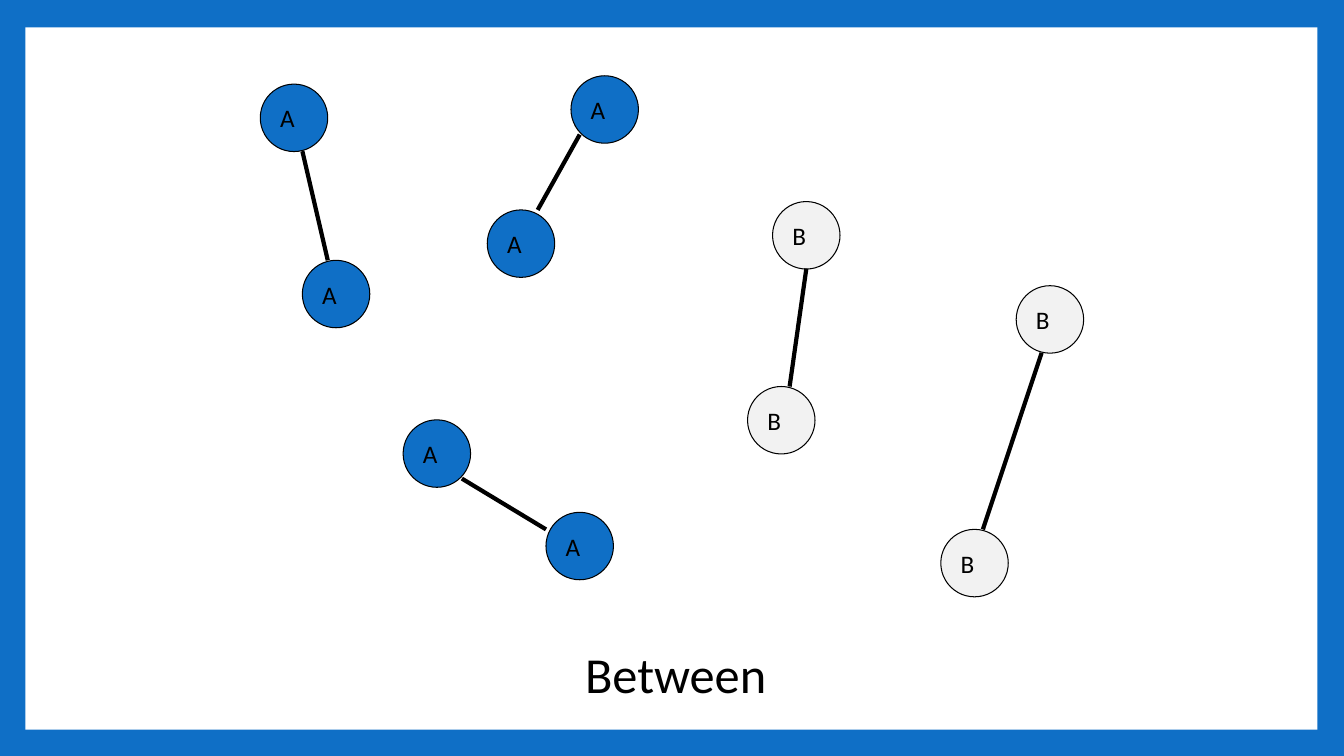
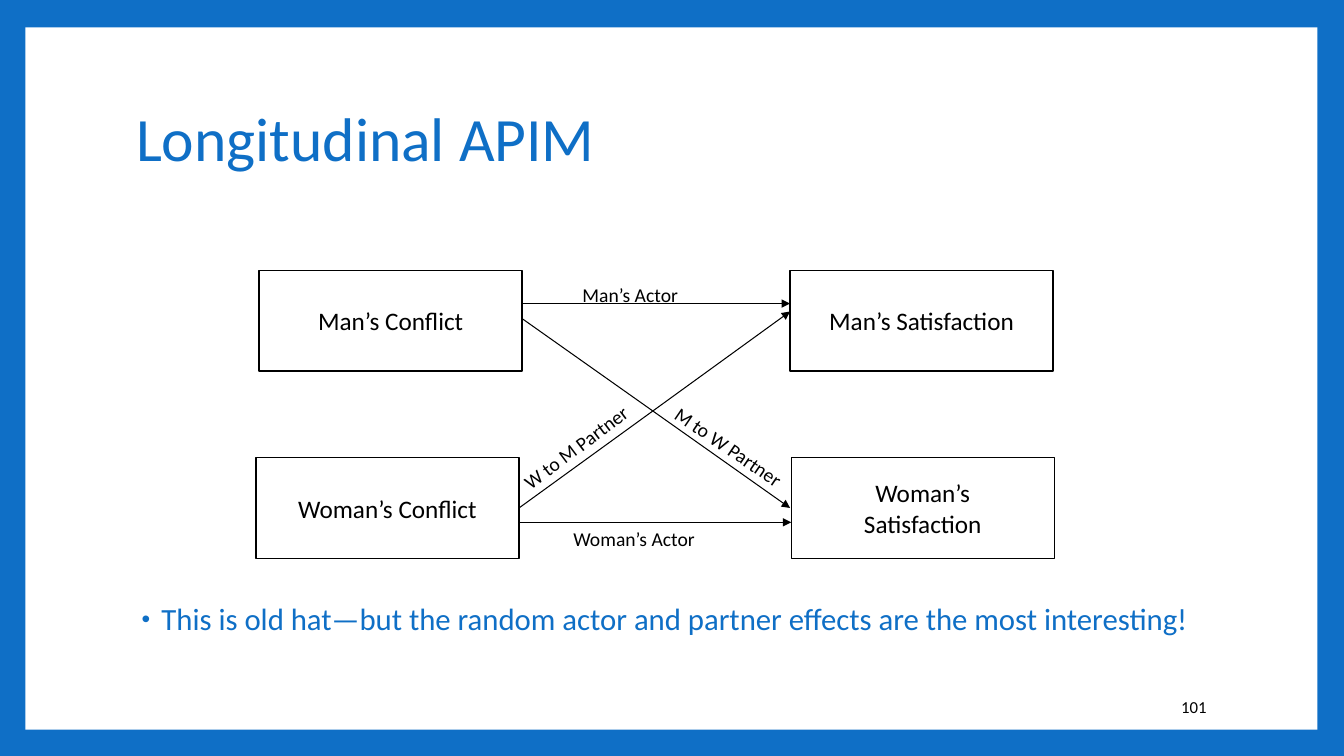
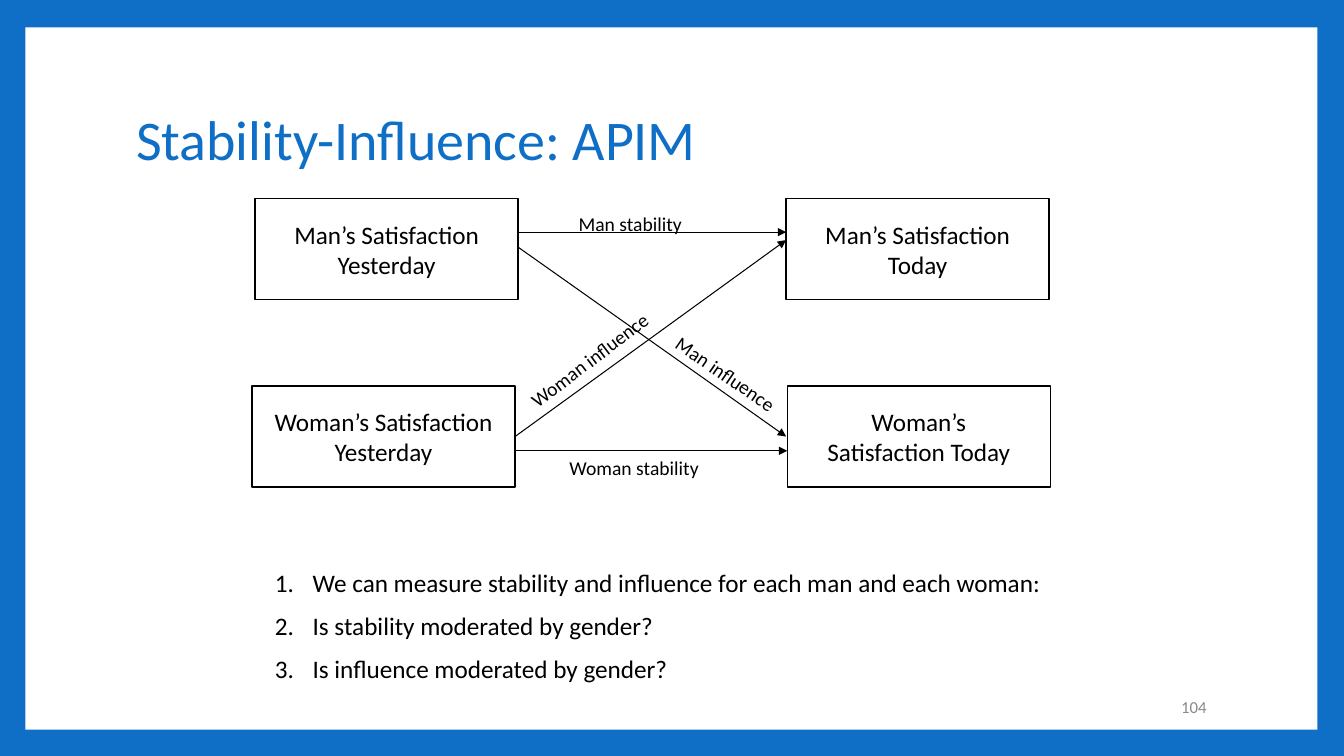
from lxml import etree
from pptx import Presentation
from pptx.dml.color import RGBColor
from pptx.enum.shapes import MSO_CONNECTOR, MSO_SHAPE
from pptx.enum.text import MSO_ANCHOR, PP_ALIGN
from pptx.oxml.ns import qn
from pptx.util import Cm, Pt

BLUE = RGBColor(0x0F, 0x6F, 0xC6)
WHITE = RGBColor(0xFF, 0xFF, 0xFF)
PALE = RGBColor(0xF2, 0xF2, 0xF2)
GREY = RGBColor(0x89, 0x89, 0x89)
BLACK = RGBColor(0, 0, 0)
FONT = "Calibri"
LEFT, MID, RIGHT = PP_ALIGN.LEFT, PP_ALIGN.CENTER, PP_ALIGN.RIGHT
TOP, CENTER = MSO_ANCHOR.TOP, MSO_ANCHOR.MIDDLE
RECT, OVAL = MSO_SHAPE.RECTANGLE, MSO_SHAPE.OVAL
LINE = MSO_CONNECTOR.STRAIGHT

# Content; all lengths in cm
DISC = 1.7
FILLS = {"A": BLUE, "B": PALE}
PAIRS = [  # letter, corners of the two discs, ends of the link
    ("A", [(6.56, 2.12), (7.62, 6.56)], [(7.62, 3.81), (8.26, 6.56)]),
    ("A", [(14.39, 1.91), (12.28, 5.29)], [(14.61, 3.39), (13.55, 5.29)]),
    ("A", [(10.16, 10.58), (13.76, 12.91)], [(11.64, 12.06), (13.76, 13.34)]),
    ("B", [(19.47, 5.08), (18.84, 9.74)], [(20.32, 6.77), (19.9, 9.74)]),
    ("B", [(25.61, 7.2), (23.71, 13.34)], [(26.25, 8.89), (24.77, 13.34)]),
]

BOX = (6.63, 2.54)
SPOTS = [  # corner and side inset of each box
    (6.53, 6.81, 0.36), (6.45, 11.53, 0.36),
    (19.91, 6.81, 0.65), (19.94, 11.53, 0.65),
]
ARROWS = [
    ((13.16, 7.65), (19.91, 7.65)),
    ((13.16, 8.03), (19.91, 12.8)),
    ((13.08, 12.8), (19.91, 7.85)),
    ((13.08, 13.16), (19.94, 13.16)),
]
LABELS = [  # left, top, height, turn
    (14.43, 7.01, 0.84, 0), (14.2, 13.16, 0.84, 0),
    (12.8, 10.26, 1.75, 323), (16.41, 11.3, 0.84, 34.3),
]

ACTOR = {
    "title": "Longitudinal APIM", "size": 44,
    "page": "101", "tint": BLACK,
    "shift": (0, 0),
    "boxes": ["Man’s Conflict", "Woman’s Conflict",
              "Man’s Satisfaction", "Woman’s Satisfaction"],
    "labels": ["Man’s Actor", "Woman’s Actor",
               "W to M Partner", "M to W Partner"],
    "nudges": [(0, 0)] * 4,
}
STABLE = {
    "title": "Stability-Influence: APIM", "size": 40,
    "page": "104", "tint": GREY,
    "shift": (-0.1, -1.8),
    "boxes": ["Man’s Satisfaction Yesterday", "Woman’s Satisfaction Yesterday",
              "Man’s Satisfaction Today", "Woman’s Satisfaction Today"],
    "labels": ["Man stability", "Woman stability",
               "Woman influence", "Man influence"],
    "nudges": [(0, 0), (0, 0), (0.28, -0.28), (0.12, 0.03)],
}
REMARK = ("This is old hat—but the random actor and partner effects "
          "are the most interesting!")
POINTS = [
    "We can measure stability and influence for each man and each woman:",
    "Is stability moderated by gender?",
    "Is influence moderated by gender?",
]


def write(shape, text, size, color=BLACK, align=LEFT, anchor=TOP, wrap=True):
    frame = shape.text_frame
    frame.word_wrap = wrap
    frame.vertical_anchor = anchor
    frame.text = text
    for para in frame.paragraphs:
        para.alignment = align
        for run in para.runs:
            run.font.name = FONT
            run.font.size = Pt(size)
            run.font.color.rgb = color
    return frame


def add_text(slide, area, text, size, **style):
    box = slide.shapes.add_textbox(*map(Cm, area))
    write(box, text, size, **style)
    return box


def add_form(slide, kind, area, fill=None, width=None):
    form = slide.shapes.add_shape(kind, *map(Cm, area))
    form.shadow.inherit = False
    if fill is None:
        form.fill.background()
    else:
        form.fill.solid()
        form.fill.fore_color.rgb = fill
    if width is None:
        form.line.fill.background()
    else:
        form.line.color.rgb = BLACK
        form.line.width = Pt(width)
    return form


def add_line(slide, start, end, width, arrow=False):
    link = slide.shapes.add_connector(LINE, *map(Cm, (*start, *end)))
    link.line.color.rgb = BLACK
    link.line.width = Pt(width)
    if arrow:
        ln = link.line._get_or_add_ln()
        etree.SubElement(ln, qn("a:tailEnd"), type="triangle")
    etree.SubElement(link._element.spPr, qn("a:effectLst"))


def add_mark(para, indent, *marks):
    props = para._p.get_or_add_pPr()
    props.set("marL", str(Cm(indent[0])))
    props.set("indent", str(Cm(indent[1])))
    for tag, attrs in marks:
        etree.SubElement(props, qn(tag), **attrs)


def add_page(deck):
    slide = deck.slides.add_slide(deck.slide_layouts[6])
    add_form(slide, RECT, (0.64, 0.69, 32.56, 17.7), WHITE)
    return slide


def add_model(deck, model):
    slide = add_page(deck)
    title = add_text(slide, (3.18, 1.7, 27.43, 3.76), model["title"],
                     model["size"], color=BLUE, anchor=CENTER)
    title.text_frame.paragraphs[0].line_spacing = 0.9
    add_text(slide, (25.91, 17.3, 4.75, 1.02), model["page"], 12,
             color=model["tint"], align=RIGHT, anchor=CENTER)

    dx, dy = model["shift"]
    for (x, y, inset), text in zip(SPOTS, model["boxes"]):
        box = add_form(slide, RECT, (x + dx, y + dy, *BOX), width=1)
        frame = write(box, text, 18, align=MID, anchor=CENTER)
        frame.margin_left = frame.margin_right = Cm(inset)
    for ends in ARROWS:
        start, end = [(x + dx, y + dy) for x, y in ends]
        add_line(slide, start, end, 0.75, arrow=True)
    for spot, text, nudge in zip(LABELS, model["labels"], model["nudges"]):
        x, y, high, turn = spot
        area = (x + dx + nudge[0], y + dy + nudge[1], 5.28, high)
        add_text(slide, area, text, 14).rotation = turn
    return slide


def main():
    deck = Presentation()
    deck.slide_width, deck.slide_height = Cm(33.87), Cm(19.05)
    back = deck.slide_master.background.fill
    back.solid()
    back.fore_color.rgb = BLUE

    # Linked pairs
    slide = add_page(deck)
    for letter, discs, ends in PAIRS:
        for corner in discs:
            disc = add_form(slide, OVAL, (*corner, DISC, DISC),
                            FILLS[letter], 0.75)
            write(disc, letter, 18, anchor=CENTER, wrap=False)
        add_line(slide, *ends, 3)
    add_text(slide, (12.9, 16.08, 8.26, 1.9), "Between", 36, align=MID)

    # Actor and partner paths, with a bulleted remark
    slide = add_model(deck, ACTOR)
    note = add_text(slide, (3.18, 15.05, 27.43, 1.2), REMARK, 22,
                    color=BLUE, anchor=CENTER)
    para = note.text_frame.paragraphs[0]
    para.line_spacing = 0.9
    add_mark(para, (0.64, -0.5), ("a:buSzPct", {"val": "80000"}),
             ("a:buFont", {"typeface": "Arial"}), ("a:buChar", {"char": "•"}))

    # Stability and influence paths, with numbered points
    slide = add_model(deck, STABLE)
    points = add_text(slide, (6.68, 14.17, 20.19, 3.33), "\n".join(POINTS), 18)
    for i, para in enumerate(points.text_frame.paragraphs):
        if i:
            para.space_before = Pt(9)
        add_mark(para, (0.95, -0.95), ("a:buFont", {"typeface": FONT}),
                 ("a:buAutoNum", {"type": "arabicPeriod"}))

    deck.save("out.pptx")


if __name__ == "__main__":
    main()
